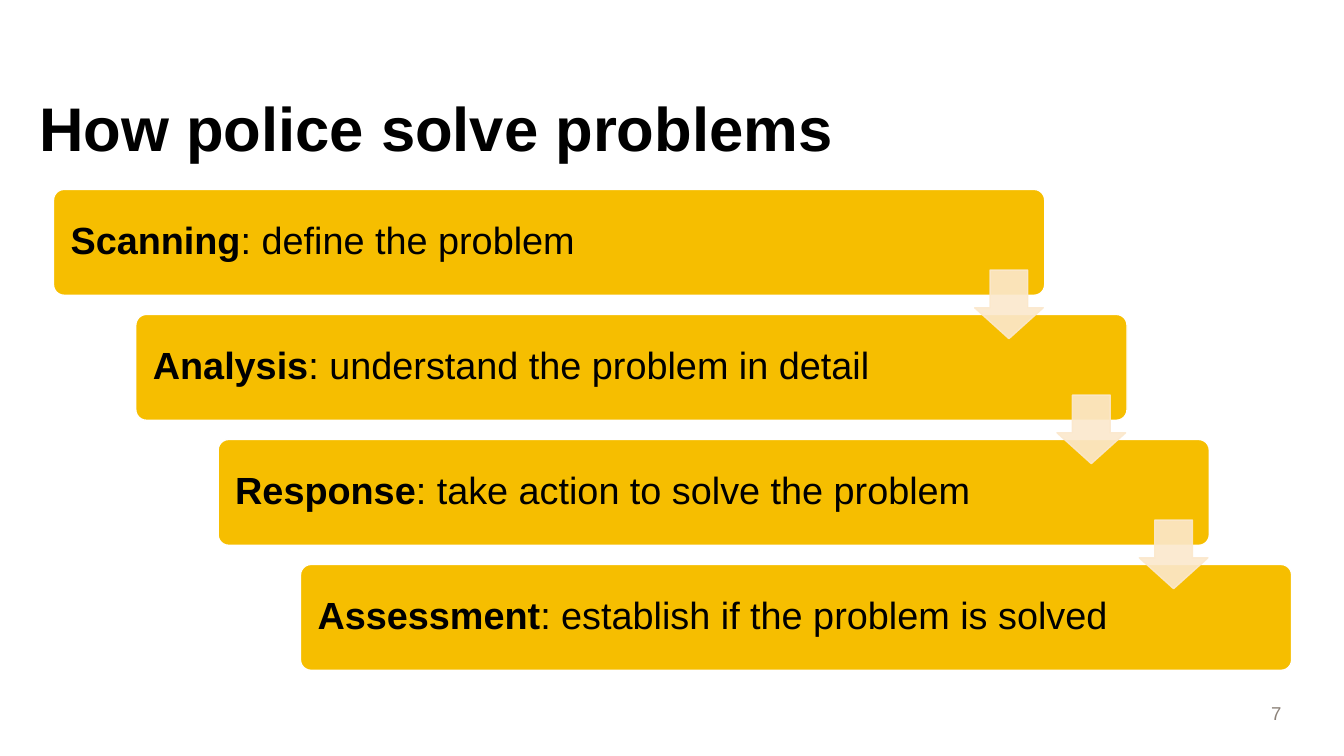
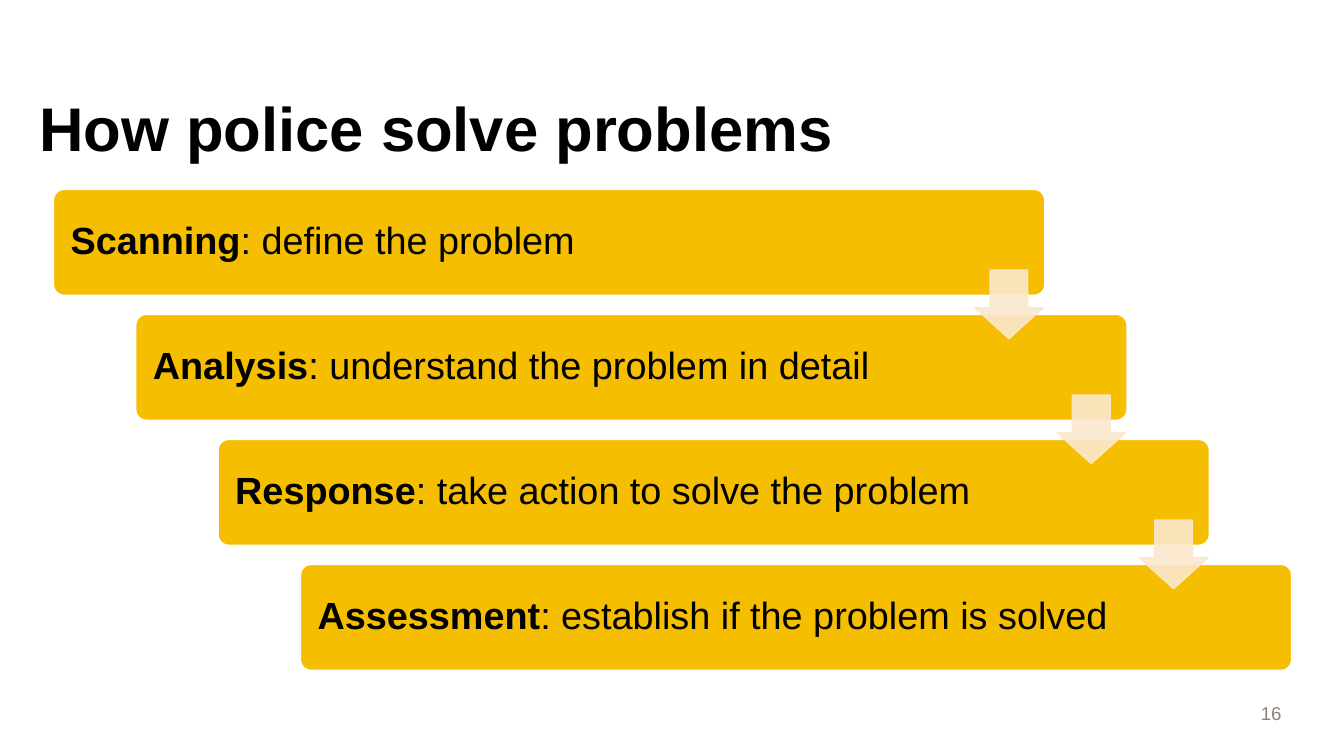
from dataclasses import dataclass

from lxml import etree
from pptx import Presentation
from pptx.dml.color import RGBColor
from pptx.enum.shapes import MSO_SHAPE
from pptx.enum.text import MSO_ANCHOR, MSO_AUTO_SIZE, PP_ALIGN
from pptx.oxml.ns import qn
from pptx.util import Pt

ROUND_RECT = MSO_SHAPE.ROUNDED_RECTANGLE
DOWN_ARROW = MSO_SHAPE.DOWN_ARROW
TOP, MIDDLE, BOTTOM = MSO_ANCHOR.TOP, MSO_ANCHOR.MIDDLE, MSO_ANCHOR.BOTTOM
LEFT, RIGHT = PP_ALIGN.LEFT, PP_ALIGN.RIGHT
NO_AUTOFIT = MSO_AUTO_SIZE.NONE
TITLE_ONLY = 5


@dataclass(frozen=True)
class Theme:
    font: str = "Arial"
    text: str = "000000"
    muted: str = "8C8279"
    bar: str = "F6BE00"
    bar_line: str = "FFFFFF"
    arrow: str = "FBE8CC"
    arrow_opacity: int = 90
    title_size: float = 44
    body_size: float = 27
    number_size: float = 13.3
    line_spacing: float = 0.9


class Deck:
    """Holds the presentation, its theme and the slide being built."""

    def __init__(self, theme):
        self.theme = theme
        self.prs = Presentation()
        self.prs.slide_width, self.prs.slide_height = Pt(960), Pt(540)
        self.slide = None

    def add_slide(self, title, number):
        layout = self.prs.slide_layouts[TITLE_ONLY]
        self.slide = self.prs.slides.add_slide(layout)
        self.title(title)
        self.page_number(number)

    def frame(self, sp, anchor, insets):
        """Set up a text frame; insets are left, top, right, bottom."""
        tf = sp.text_frame
        tf.word_wrap = True
        tf.auto_size = NO_AUTOFIT
        tf.vertical_anchor = anchor
        (tf.margin_left, tf.margin_top,
         tf.margin_right, tf.margin_bottom) = map(Pt, insets)
        return tf

    def style(self, r, size, color, bold=False):
        r.font.name = self.theme.font
        r.font.size = Pt(size)
        r.font.bold = bold
        r.font.color.rgb = RGBColor.from_string(color)

    def title(self, text):
        t = self.theme
        sp = self.slide.shapes.title
        sp.left, sp.top, sp.width, sp.height = map(Pt, (28, 70.5, 850, 108))
        tf = self.frame(sp, TOP, (0, 0, 0, 0))
        tf.text = text
        p = tf.paragraphs[0]
        p.alignment = LEFT
        p.line_spacing = t.line_spacing
        self.style(p.runs[0], t.title_size, t.text, bold=True)

    def page_number(self, number):
        sp = self.slide.shapes.add_textbox(*map(Pt, (846.5, 479, 76, 42)))
        tf = self.frame(sp, BOTTOM, (9, 3.6, 7.2, 3.6))
        tf.text = str(number)
        p = tf.paragraphs[0]
        p.alignment = RIGHT
        self.style(p.runs[0], self.theme.number_size, self.theme.muted)

    def shape(self, kind, box, adjustments, fill, line):
        sp = self.slide.shapes.add_shape(kind, *map(Pt, box))
        for i, value in enumerate(adjustments):
            sp.adjustments[i] = value
        sp.shadow.inherit = False
        sp.fill.solid()
        sp.fill.fore_color.rgb = RGBColor.from_string(fill)
        sp.line.color.rgb = RGBColor.from_string(line)
        sp.line.width = Pt(1)
        return sp

    def bar(self, box, term, meaning):
        t = self.theme
        sp = self.shape(ROUND_RECT, box, [0.1], t.bar, t.bar_line)
        tf = self.frame(sp, MIDDLE, (10, 10, 10, 10))
        p = tf.paragraphs[0]
        p.alignment = LEFT
        p.line_spacing = t.line_spacing
        for text, bold in ((term, True), (f": {meaning}", False)):
            r = p.add_run()
            r.text = text
            self.style(r, t.body_size, t.text, bold)

    def arrow(self, box):
        t = self.theme
        sp = self.shape(DOWN_ARROW, box, [0.55, 0.45], t.arrow, t.arrow)
        for color in sp._element.spPr.iter(qn("a:srgbClr")):
            alpha = etree.SubElement(color, qn("a:alpha"))
            alpha.set("val", str(t.arrow_opacity * 1000))

    def staircase(self, steps):
        """Draw bars stepping down to the right, with arrows between them."""
        left, top, width, height = 38.2, 135.3, 708, 75.6
        step_x, step_y = 58.8, 89.3
        arrow_x, arrow_y, arrow_size = 658, 57.6, 49
        corners = [(left + i * step_x, top + i * step_y)
                   for i in range(len(steps))]
        for (x, y), (term, meaning) in zip(corners, steps):
            self.bar((x, y, width, height), term, meaning)
        for x, y in corners[:-1]:
            self.arrow((x + arrow_x, y + arrow_y, arrow_size, arrow_size))


TITLE = "How police solve problems"
STEPS = [
    ("Scanning", "define the problem"),
    ("Analysis", "understand the problem in detail"),
    ("Response", "take action to solve the problem"),
    ("Assessment", "establish if the problem is solved"),
]
PAGE_NUMBERS = (7, 16)


def main():
    deck = Deck(Theme())
    for number in PAGE_NUMBERS:
        deck.add_slide(TITLE, number)
        deck.staircase(STEPS)
    deck.prs.save("out.pptx")


if __name__ == "__main__":
    main()
